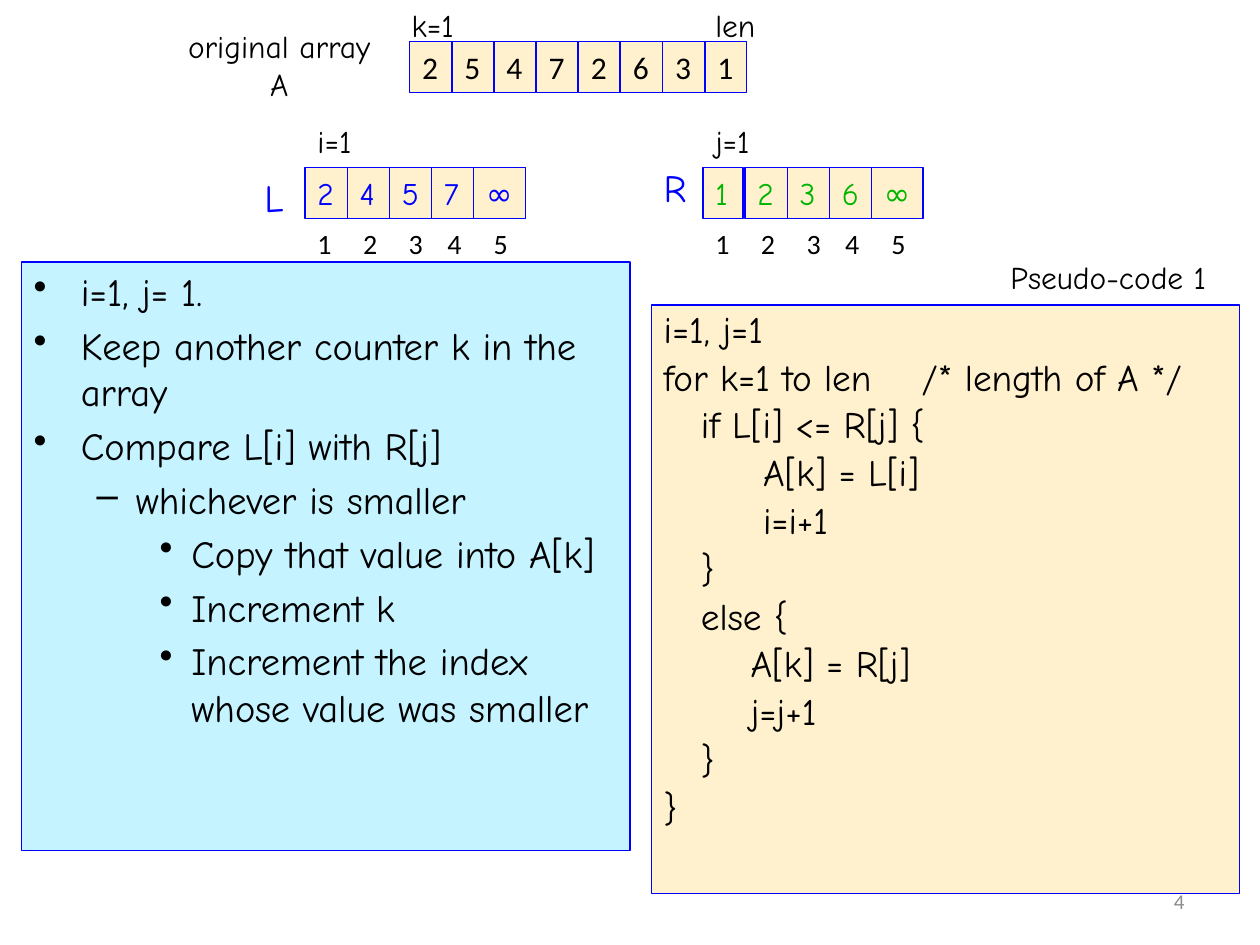
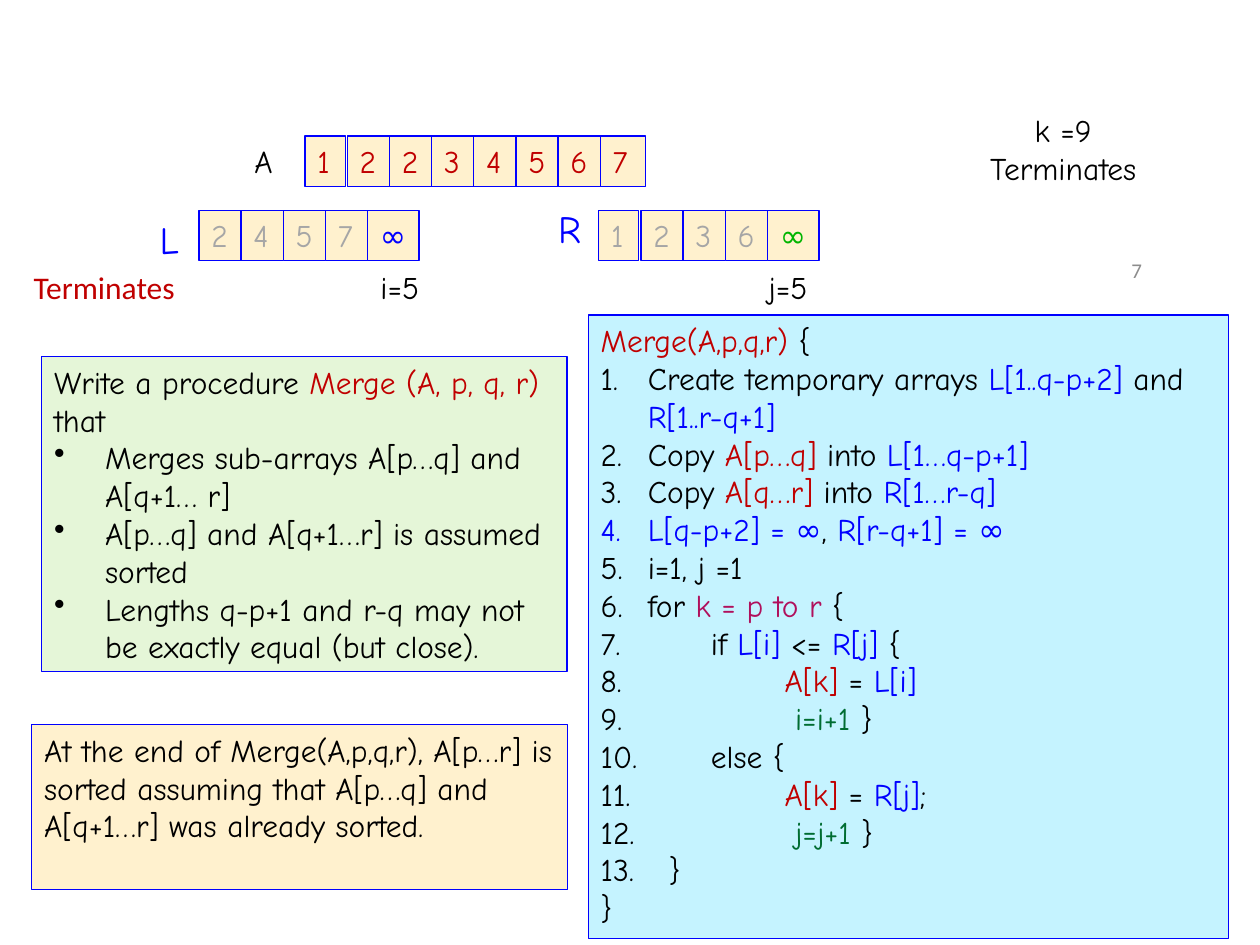
import lxml.etree
import pptx
import pptx.dml.color
import pptx.enum.shapes
import pptx.enum.text
import pptx.oxml.ns
import pptx.util

Cm = pptx.util.Cm
Pt = pptx.util.Pt
RGBColor = pptx.dml.color.RGBColor
ALIGN = pptx.enum.text.PP_ALIGN
ANCHOR = pptx.enum.text.MSO_ANCHOR

BLACK = RGBColor(0x00, 0x00, 0x00)
BLUE = RGBColor(0x00, 0x00, 0xFF)
GREEN = RGBColor(0x00, 0xB5, 0x00)
DARK_GREEN = RGBColor(0x00, 0x6C, 0x31)
RED = RGBColor(0xC0, 0x00, 0x00)
MAGENTA = RGBColor(0xB0, 0x10, 0x5C)
GREY = RGBColor(0xA6, 0xA6, 0xA6)
NUMBER_GREY = RGBColor(0x8C, 0x8C, 0x8C)
CREAM = RGBColor(0xFF, 0xF1, 0xCE)
SKY = RGBColor(0xC5, 0xF3, 0xFF)
MINT = RGBColor(0xE5, 0xF6, 0xD8)

HAND = "Comic Neue"
PLAIN = "Calibri"
CELL_PITCH = 0.85
LINE_HEIGHT = 1.02


def add_box(page, place, lines, color=BLACK, size=18, font=HAND, fill=None,
            wrap=False, align=ALIGN.LEFT, anchor=ANCHOR.TOP):
    left, top, width, height = [Cm(length) for length in place]
    if fill is None:
        box = page.shapes.add_textbox(left, top, width, height)
    else:
        box = page.shapes.add_shape(
            pptx.enum.shapes.MSO_SHAPE.RECTANGLE, left, top, width, height)
        box.shadow.inherit = False
        box.fill.solid()
        box.fill.fore_color.rgb = fill
        box.line.color.rgb = BLUE
        box.line.width = Pt(0.75)
    frame = box.text_frame
    frame.word_wrap = wrap
    frame.vertical_anchor = anchor
    for index, line in enumerate(lines):
        para = frame.paragraphs[0] if index == 0 else frame.add_paragraph()
        para.alignment = align
        para.font.name = font
        para.font.size = Pt(size)
        para.font.color.rgb = color
        for text, span_color in [(line, color)] if isinstance(line, str) else line:
            span = para.add_run()
            span.text = text
            if span_color != color:
                span.font.color.rgb = span_color
    return box


def add_list_mark(para, tag, margin, hang, **attributes):
    properties = para._p.get_or_add_pPr()
    properties.set("marL", str(Cm(margin)))
    properties.set("indent", str(-Cm(hang)))
    mark = lxml.etree.Element(pptx.oxml.ns.qn(tag), **attributes)
    properties.insert_element_before(mark, "a:tabLst", "a:defRPr")


deck = pptx.Presentation()
deck.slide_width = Cm(25.4)
deck.slide_height = Cm(19.05)
blank = deck.slide_layouts[6]
compare_page = deck.slides.add_slide(blank)
merge_page = deck.slides.add_slide(blank)

steps = [
    (0, "i=1, j= 1."),
    (0, "Keep another counter k in the array"),
    (0, "Compare L[i] with R[j]"),
    (1, "whichever is smaller"),
    (2, "Copy that value into A[k]"),
    (2, "Increment k"),
    (2, "Increment the index whose value was smaller"),
]
step_marks = [("•", 0.95, 0.95), ("–", 2.06, 0.79), ("•", 3.18, 0.64)]
steps_box = add_box(compare_page, (0.43, 5.28, 12.27, 11.86),
                    [text for level, text in steps], size=22, fill=SKY, wrap=True)
for index, (level, text) in enumerate(steps):
    para = steps_box.text_frame.paragraphs[index]
    mark, margin, hang = step_marks[level]
    para.level = level
    para.space_before = Pt(4.4 if index else 0)
    add_list_mark(para, "a:buChar", margin, hang, char=mark)

array_rows = [
    (compare_page, 6.15, 3.38, "2457∞", BLUE, BLUE, HAND),
    (compare_page, 14.17, 3.38, "1236∞", GREEN, GREEN, HAND),
    (compare_page, 8.26, 0.84, "25472631", BLACK, BLACK, PLAIN),
    (merge_page, 4.01, 4.24, "2457∞", GREY, BLUE, HAND),
    (merge_page, 12.07, 4.24, "1236∞", GREY, GREEN, HAND),
    (merge_page, 6.15, 2.74, "12234567", RED, RED, HAND),
]
hand_widths = {"1": 0.81, "∞": 1.04}
for page, left, top, values, color, sentinel_color, font in array_rows:
    for index, value in enumerate(values):
        width = hand_widths.get(value, 0.91) if font == HAND else 0.84
        add_box(page, (left + index * CELL_PITCH, top, width, LINE_HEIGHT), [value],
                sentinel_color if value == "∞" else color, font=font, fill=CREAM)

for left in (6.15, 14.17):
    positions = add_box(compare_page, (left, 4.45, 4.45, 0.94), ["1\t2\t3\t4\t5"],
                        size=16, font=PLAIN, wrap=True)
    properties = positions.text_frame.paragraphs[0]._p.get_or_add_pPr()
    stops = lxml.etree.Element(pptx.oxml.ns.qn("a:tabLst"))
    for stop in (0.92, 1.84, 2.62, 3.55):
        lxml.etree.SubElement(stops, pptx.oxml.ns.qn("a:tab"), pos=str(Cm(stop)), algn="l")
    properties.insert_element_before(stops, "a:defRPr")

labels = [
    (compare_page, 5.08, 3.38, 0.94, "L", BLUE, 22, HAND),
    (compare_page, 13.13, 3.18, 1.02, "R", BLUE, 22, HAND),
    (compare_page, 6.15, 2.34, 1.3, "i=1", BLACK, 18, HAND),
    (compare_page, 14.17, 2.34, 1.4, "j=1", BLACK, 18, HAND),
    (compare_page, 8.05, 0, 1.47, "k=1", BLACK, 18, HAND),
    (compare_page, 14.17, 0, 1.37, "len", BLACK, 18, HAND),
    (compare_page, 20.12, 5.08, 4.7, "Pseudo-code 1", BLACK, 18, HAND),
    (merge_page, 2.97, 4.24, 0.94, "L", BLUE, 22, HAND),
    (merge_page, 11, 4.01, 1.02, "R", BLUE, 22, HAND),
    (merge_page, 7.42, 5.28, 1.4, "i=5", BLACK, 18, HAND),
    (merge_page, 15.24, 5.28, 1.5, "j=5", BLACK, 18, HAND),
    (merge_page, 4.88, 2.74, 0.99, "A", BLACK, 18, HAND),
    (merge_page, 0.43, 5.28, 3.38, "Terminates", RED, 18, PLAIN),
]
for page, left, top, width, text, color, size, font in labels:
    add_box(page, (left, top, width, LINE_HEIGHT), [text], color, size, font)

add_box(compare_page, (3.38, 0.43, 4.5, 1.8), ["original array", "A"], align=ALIGN.CENTER)
add_box(merge_page, (19.48, 2.11, 3.91, 1.8), ["k =9", "Terminates"], align=ALIGN.CENTER)

for page, left, top, number in ((compare_page, 18.21, 17.65, "4"),
                                (merge_page, 17.35, 4.93, "7")):
    add_box(page, (left, top, 5.92, LINE_HEIGHT), [number], NUMBER_GREY, 12, PLAIN,
            wrap=True, align=ALIGN.RIGHT, anchor=ANCHOR.MIDDLE)

pseudo_code = [
    "i=1, j=1",
    "for k=1 to len\t/* length of A */",
    "   if L[i] <= R[j] {",
    "        A[k] = L[i]",
    "        i=i+1",
    "   }",
    "   else {",
    "       A[k] = R[j]",
    "       j=j+1",
    "   }",
    "}",
]
code_box = add_box(compare_page, (13.13, 6.15, 11.86, 11.86), pseudo_code,
                   size=21.3, fill=CREAM, wrap=True)
for index, para in enumerate(code_box.text_frame.paragraphs):
    para.line_spacing = 0.9
    para.space_before = Pt(4.3 if index else 0)
comment_stop = lxml.etree.Element(pptx.oxml.ns.qn("a:tabLst"))
lxml.etree.SubElement(comment_stop, pptx.oxml.ns.qn("a:tab"), pos=str(Cm(5.2)), algn="l")
comment_line = code_box.text_frame.paragraphs[1]
comment_line._p.get_or_add_pPr().insert_element_before(comment_stop, "a:defRPr")

task_box = add_box(merge_page, (0.84, 7.19, 10.59, 6.35), [
    [("Write a procedure ", BLACK), ("Merge (A, p, q, r) ", RED), ("that", BLACK)],
    "Merges sub-arrays A[p…q] and A[q+1… r]",
    "A[p…q] and A[q+1…r] is assumed sorted",
    "Lengths q-p+1 and r-q may not be exactly equal (but close).",
], fill=MINT, wrap=True)
for para in task_box.text_frame.paragraphs[1:]:
    add_list_mark(para, "a:buChar", 1.03, 1.03, char="•")

merge_box = add_box(merge_page, (11.86, 6.35, 12.9, 12.57), [
    [("Merge(A,p,q,r)", RED), (" {", BLACK)],
    [("Create temporary arrays ", BLACK), ("L[1..q-p+2] ", BLUE), ("and ", BLACK),
     ("R[1..r-q+1]", BLUE)],
    [("Copy ", BLACK), ("A[p…q] ", RED), ("into ", BLACK), ("L[1…q-p+1]", BLUE)],
    [("Copy ", BLACK), ("A[q…r]", RED), (" into ", BLACK), ("R[1…r-q]", BLUE)],
    [("L[q-p+2] = ∞", BLUE), (", ", BLACK), ("R[r-q+1] = ∞", BLUE)],
    "i=1, j =1",
    [("for ", BLACK), ("k = p to r ", MAGENTA), ("{", BLACK)],
    [("      if ", BLACK), ("L[i]", BLUE), (" <= ", BLACK), ("R[j]", BLUE), (" {", BLACK)],
    [("             ", BLACK), ("A[k]", RED), (" = ", BLACK), ("L[i]", BLUE)],
    [("              ", BLACK), ("i=i+1 ", DARK_GREEN), ("}", BLACK)],
    "      else {",
    [("             ", BLACK), ("A[k]", RED), (" = ", BLACK), ("R[j]", BLUE), (";", BLACK)],
    [("              ", BLACK), ("j=j+1", DARK_GREEN), (" }", BLACK)],
    "  }",
    "}",
], fill=SKY, wrap=True)
for para in merge_box.text_frame.paragraphs[1:-1]:
    add_list_mark(para, "a:buAutoNum", 0.95, 0.95, type="arabicPeriod")

add_box(merge_page, (0.64, 14.61, 10.8, 3.33), [
    "At the end of Merge(A,p,q,r), A[p…r] is sorted assuming that "
    "A[p…q] and A[q+1…r] was already sorted.",
], fill=CREAM, wrap=True)

deck.save("out.pptx")
